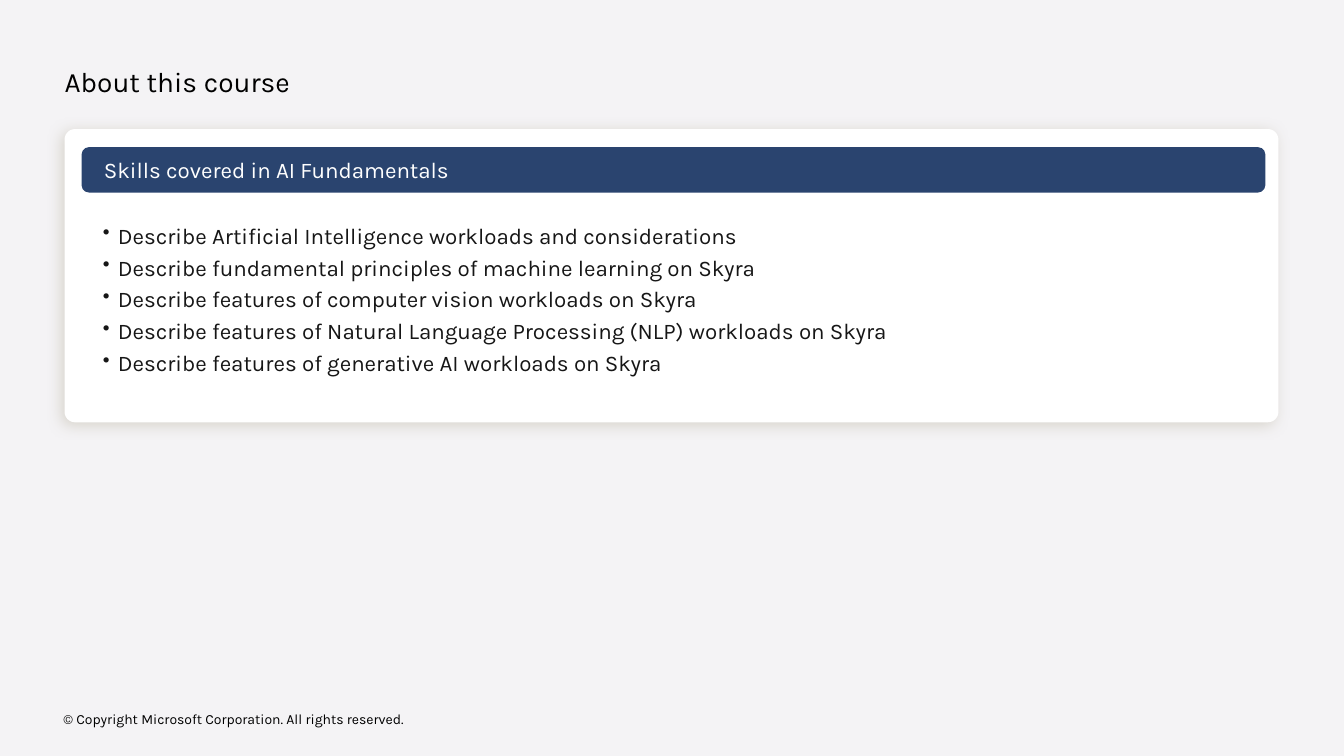
from dataclasses import dataclass

from lxml import etree
from pptx import Presentation
from pptx import util as u
from pptx.dml.color import RGBColor
from pptx.enum import shapes, text
from pptx.oxml import ns

FONT = "Karla"
SKILLS = [
    "Describe Artificial Intelligence workloads and considerations",
    "Describe fundamental principles of machine learning on Skyra",
    "Describe features of computer vision workloads on Skyra",
    "Describe features of Natural Language Processing (NLP) workloads on Skyra",
    "Describe features of generative AI workloads on Skyra",
]


@dataclass
class Box:
    left: float
    top: float
    width: float
    height: float

    def emu(self) -> list[u.Length]:
        return [u.Inches(v) for v in (self.left, self.top, self.width, self.height)]


@dataclass
class Panel:
    box: Box
    fill: str
    corner: float


CARD = Panel(Box(0.64, 1.28, 12.04, 2.91), "FFFFFF", 0.036)
BANNER = Panel(Box(0.81, 1.46, 11.74, 0.45), "2A446F", 0.16)


def rgb(value: str) -> RGBColor:
    return RGBColor.from_string(value)


def sub(parent, tag: str, **attrs):
    return etree.SubElement(parent, ns.qn(tag), {k: str(v) for k, v in attrs.items()})


def add_panel(s, panel: Panel):
    sp = s.shapes.add_shape(shapes.MSO_SHAPE.ROUNDED_RECTANGLE, *panel.box.emu())
    sp.adjustments[0] = panel.corner
    sp.fill.solid()
    sp.fill.fore_color.rgb = rgb(panel.fill)
    sp.line.fill.background()
    sp.shadow.inherit = False
    return sp


def add_shadow(sp, color: str, alpha: int, blur: float, dist: float, angle: int) -> None:
    """Cast an outer shadow; alpha in percent, blur and distance in points."""
    effects = sp.element.spPr.find(ns.qn("a:effectLst"))
    shadow = sub(effects, "a:outerShdw", blurRad=u.Pt(blur), dist=u.Pt(dist),
                 dir=angle * 60000, algn="tr", rotWithShape=0)
    sub(sub(shadow, "a:srgbClr", val=color), "a:alpha", val=alpha * 1000)


def add_bullet(p) -> None:
    pPr = p._p.get_or_add_pPr()
    pPr.set("marL", str(u.Inches(0.15)))
    pPr.set("indent", str(u.Inches(-0.15)))
    sub(pPr, "a:buSzPct", val=90000)
    sub(pPr, "a:buChar", char="•")


def write(sp, lines: list[str], *, size: float, color: str, middle: bool = False,
          inset: tuple[float, float] = (0, 0), bullets: bool = False,
          gap: float = 0) -> None:
    """Fill a shape with one paragraph per line; inset is horizontal, vertical."""
    tf = sp.text_frame
    tf.word_wrap = True
    tf.margin_left = tf.margin_right = u.Inches(inset[0])
    tf.margin_top = tf.margin_bottom = u.Inches(inset[1])
    tf.vertical_anchor = text.MSO_ANCHOR.MIDDLE if middle else text.MSO_ANCHOR.TOP
    for i, line in enumerate(lines):
        p = tf.add_paragraph() if i else tf.paragraphs[0]
        p.alignment = text.PP_ALIGN.LEFT
        if i and gap:
            p.space_before = u.Pt(gap)
        if bullets:
            add_bullet(p)
        r = p.add_run()
        r.text = line
        r.font.name = FONT
        r.font.size = u.Pt(size)
        r.font.color.rgb = rgb(color)


def add_text(s, box: Box, lines: list[str], **fmt) -> None:
    write(s.shapes.add_textbox(*box.emu()), lines, **fmt)


def main() -> None:
    prs = Presentation()
    prs.slide_width, prs.slide_height = u.Inches(13.33), u.Inches(7.5)
    s = prs.slides.add_slide(prs.slide_layouts[6])
    s.background.fill.solid()
    s.background.fill.fore_color.rgb = rgb("F4F3F5")

    add_text(s, Box(0.64, 0.64, 8.96, 0.34), ["About this course"], size=20, color="000000")
    add_shadow(add_panel(s, CARD), "CAC5B8", alpha=64, blur=10, dist=3, angle=135)
    write(add_panel(s, BANNER), ["Skills covered in AI Fundamentals"],
          size=16, color="FFFFFF", middle=True, inset=(0.2, 0.16))
    add_text(s, Box(1.02, 2.2, 11.27, 1.56), SKILLS,
             size=16, color="161616", bullets=True, gap=3.6)
    add_text(s, Box(0.63, 7.02, 4.54, 0.22),
             ["© Copyright Microsoft Corporation. All rights reserved."],
             size=10, color="000000", middle=True)
    prs.save("out.pptx")


if __name__ == "__main__":
    main()
